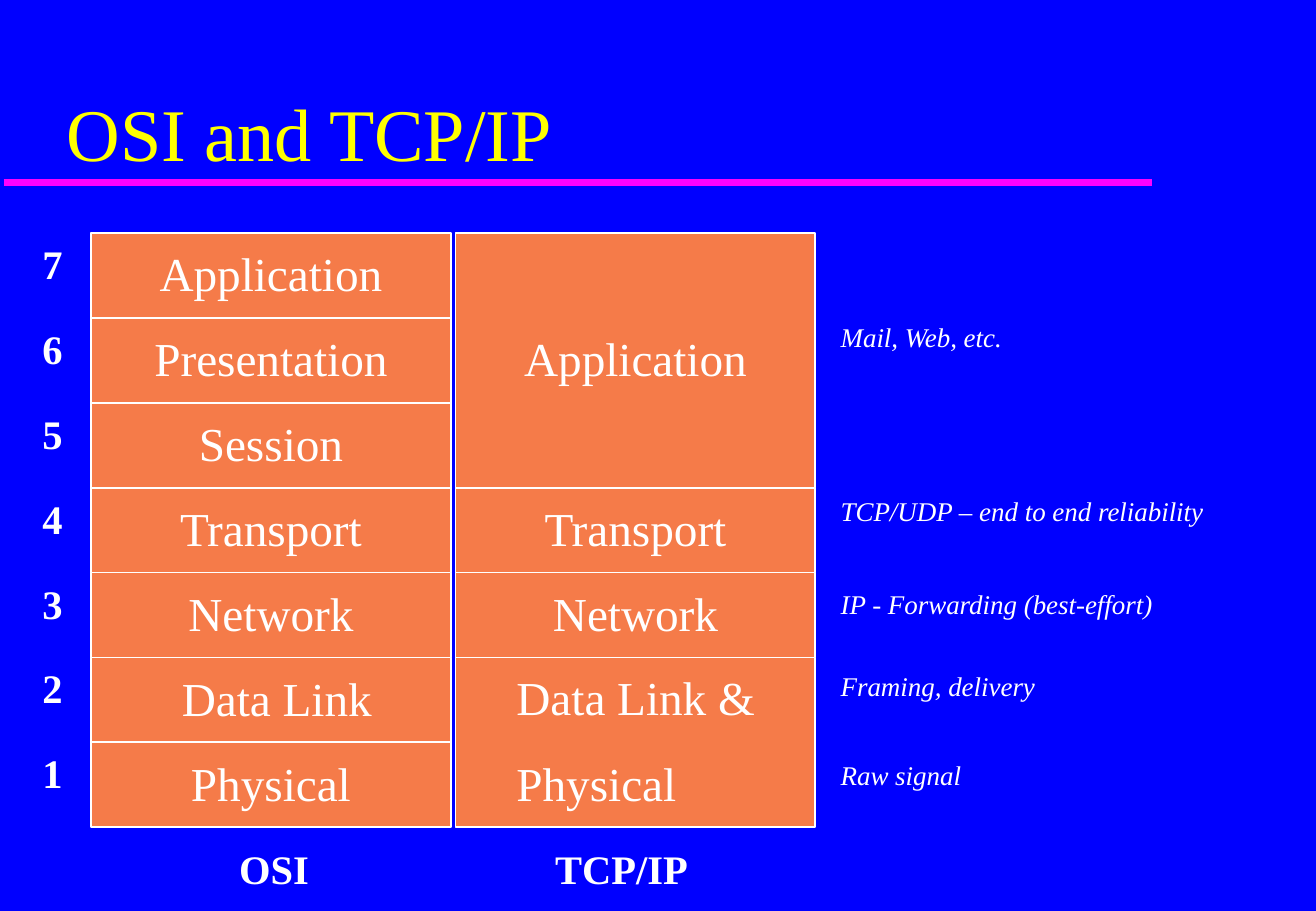
from dataclasses import dataclass

from lxml import etree
from pptx import Presentation
from pptx import util as u
from pptx.dml.color import RGBColor
from pptx.enum import shapes, text
from pptx.oxml.ns import qn


@dataclass(frozen=True)
class Theme:
    font: str = "Times New Roman"
    background: RGBColor = RGBColor(0x00, 0x00, 0xFF)
    title: RGBColor = RGBColor(0xFF, 0xFF, 0x00)
    rule: RGBColor = RGBColor(0xFF, 0x00, 0xFF)
    block: RGBColor = RGBColor(0xF5, 0x7B, 0x49)
    ink: RGBColor = RGBColor(0xFF, 0xFF, 0xFF)
    title_size: int = 44
    layer_size: int = 28
    label_size: int = 24
    note_size: int = 16


@dataclass(frozen=True)
class Layer:
    lines: tuple[str, ...]
    levels: int = 1


@dataclass(frozen=True)
class Stack:
    name: str
    left: float
    name_left: float
    layers: tuple[Layer, ...]


@dataclass(frozen=True)
class Note:
    words: str
    top: float


THEME = Theme()
LEVELS = 7
STACK_TOP, STACK_BOTTOM = 1.92, 6.81
STACK_WIDTH = 2.96
ROW = (STACK_BOTTOM - STACK_TOP) / LEVELS

STACKS = (
    Stack("OSI", 0.75, 1.59, (
        Layer(("Application",)),
        Layer(("Presentation",)),
        Layer(("Session",)),
        Layer(("Transport",)),
        Layer(("Network",)),
        Layer((" Data Link",)),
        Layer(("Physical",)),
    )),
    Stack("TCP/IP", 3.75, 4.45, (
        Layer(("Application",), 3),
        Layer(("Transport",)),
        Layer(("Network",)),
        Layer(("Data Link &", "Physical"), 2),
    )),
)

NOTES = (
    Note("Mail, Web, etc.", 2.59),
    Note("TCP/UDP – end to end reliability", 4.02),
    Note("IP - Forwarding (best-effort)", 4.79),
    Note("Framing, delivery", 5.46),
    Note("Raw signal", 6.2),
)


def style(p, size: int, color: RGBColor = THEME.ink, bold: bool = False,
          italic: bool = False, align=text.PP_ALIGN.LEFT) -> None:
    p.alignment = align
    p.font.name = THEME.font
    p.font.size = u.Pt(size)
    p.font.color.rgb = color
    p.font.bold = bold
    p.font.italic = italic


def add_label(slide, words: str, left: float, top: float, width: float, height: float,
              size: int, anchor=text.MSO_ANCHOR.TOP, **look) -> None:
    sp = slide.shapes.add_textbox(*map(u.Inches, (left, top, width, height)))
    tf = sp.text_frame
    tf.word_wrap = True
    tf.vertical_anchor = anchor
    p = tf.paragraphs[0]
    p.text = words
    style(p, size, **look)


def add_rule(slide) -> None:
    line = slide.shapes.add_connector(
        shapes.MSO_CONNECTOR.STRAIGHT, *map(u.Inches, (0.03, 1.5, 9.48, 1.5)))
    line.line.color.rgb = THEME.rule
    line.line.width = u.Pt(4)
    etree.SubElement(line._element.spPr, qn("a:effectLst"))


def add_layer(slide, layer: Layer, left: float, top: float) -> None:
    sp = slide.shapes.add_shape(
        shapes.MSO_SHAPE.ROUNDED_RECTANGLE,
        *map(u.Inches, (left, top, STACK_WIDTH, layer.levels * ROW)))
    sp.adjustments[0] = 0
    sp.shadow.inherit = False
    sp.fill.solid()
    sp.fill.fore_color.rgb = THEME.block
    sp.line.color.rgb = THEME.ink
    sp.line.width = u.Pt(1)
    tf = sp.text_frame
    tf.word_wrap = True
    tf.vertical_anchor = text.MSO_ANCHOR.MIDDLE
    tf.margin_bottom = u.Inches(0.09)
    several = len(layer.lines) > 1
    if several:
        tf.margin_left = u.Inches(0.5)
    for i, words in enumerate(layer.lines):
        p = tf.add_paragraph() if i else tf.paragraphs[0]
        p.text = words
        p.space_before = u.Pt(17.3 if i else 0)
        style(p, THEME.layer_size,
              align=text.PP_ALIGN.LEFT if several else text.PP_ALIGN.CENTER)


def add_stack(slide, stack: Stack) -> None:
    level = 0
    for layer in stack.layers:
        add_layer(slide, layer, stack.left, STACK_TOP + level * ROW)
        level += layer.levels
    add_label(slide, stack.name, stack.name_left, 6.9, 1.33, 0.5,
              THEME.label_size, bold=True, align=text.PP_ALIGN.CENTER)


def main() -> None:
    prs = Presentation()
    prs.slide_width, prs.slide_height = u.Inches(10.83), u.Inches(7.5)
    slide = prs.slides.add_slide(prs.slide_layouts[6])
    slide.background.fill.solid()
    slide.background.fill.fore_color.rgb = THEME.background

    add_rule(slide)
    add_label(slide, "OSI and TCP/IP", 0.45, 0.04, 9.2, 1.46, THEME.title_size,
              anchor=text.MSO_ANCHOR.BOTTOM, color=THEME.title)
    for note in NOTES:
        add_label(slide, note.words, 6.82, note.top, 3.5, 0.36,
                  THEME.note_size, italic=True)
    for i in range(LEVELS):
        add_label(slide, str(LEVELS - i), 0.25, STACK_TOP + i * ROW, 0.4, 0.5,
                  THEME.label_size, bold=True)
    for stack in STACKS:
        add_stack(slide, stack)
    prs.save("out.pptx")


if __name__ == "__main__":
    main()
